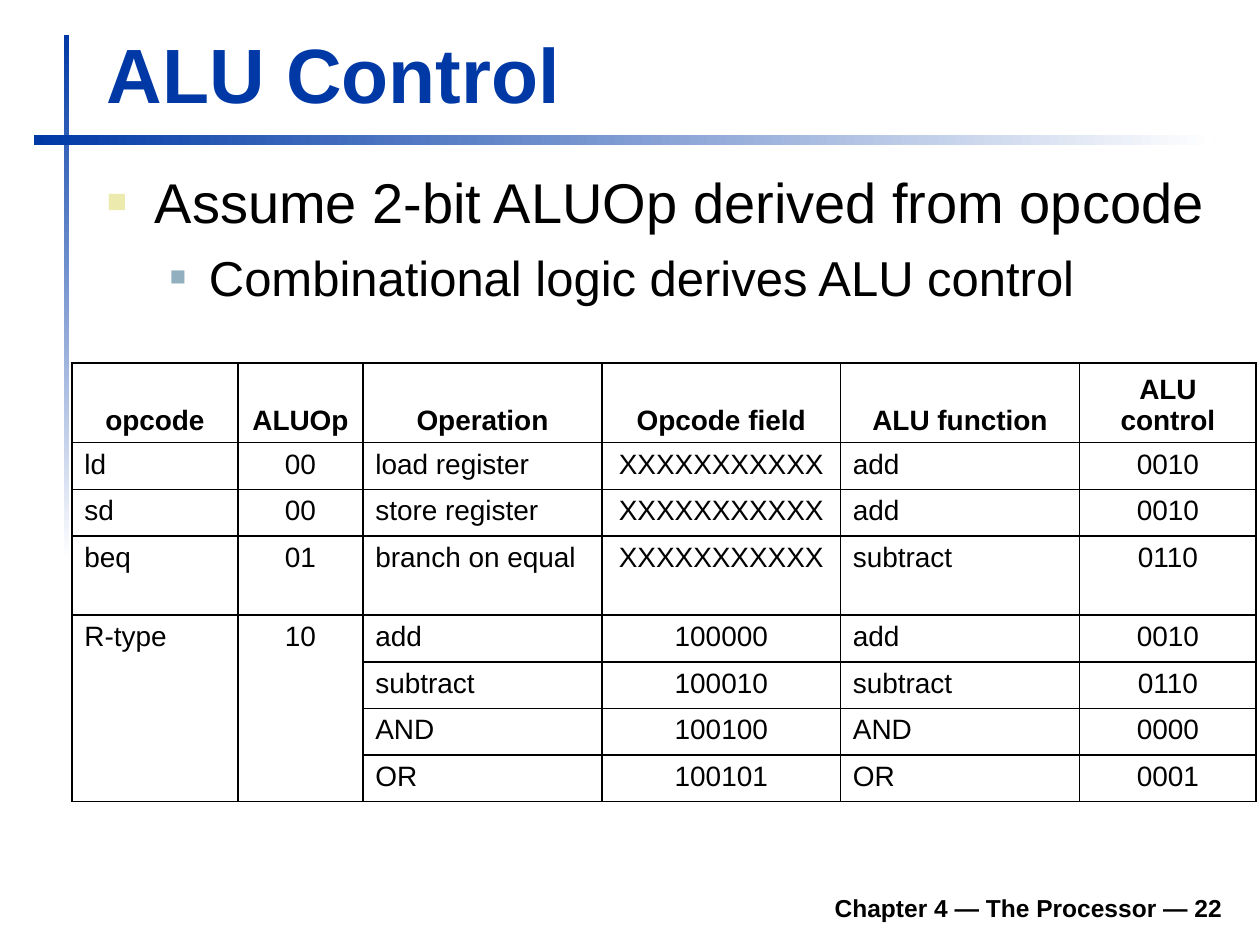
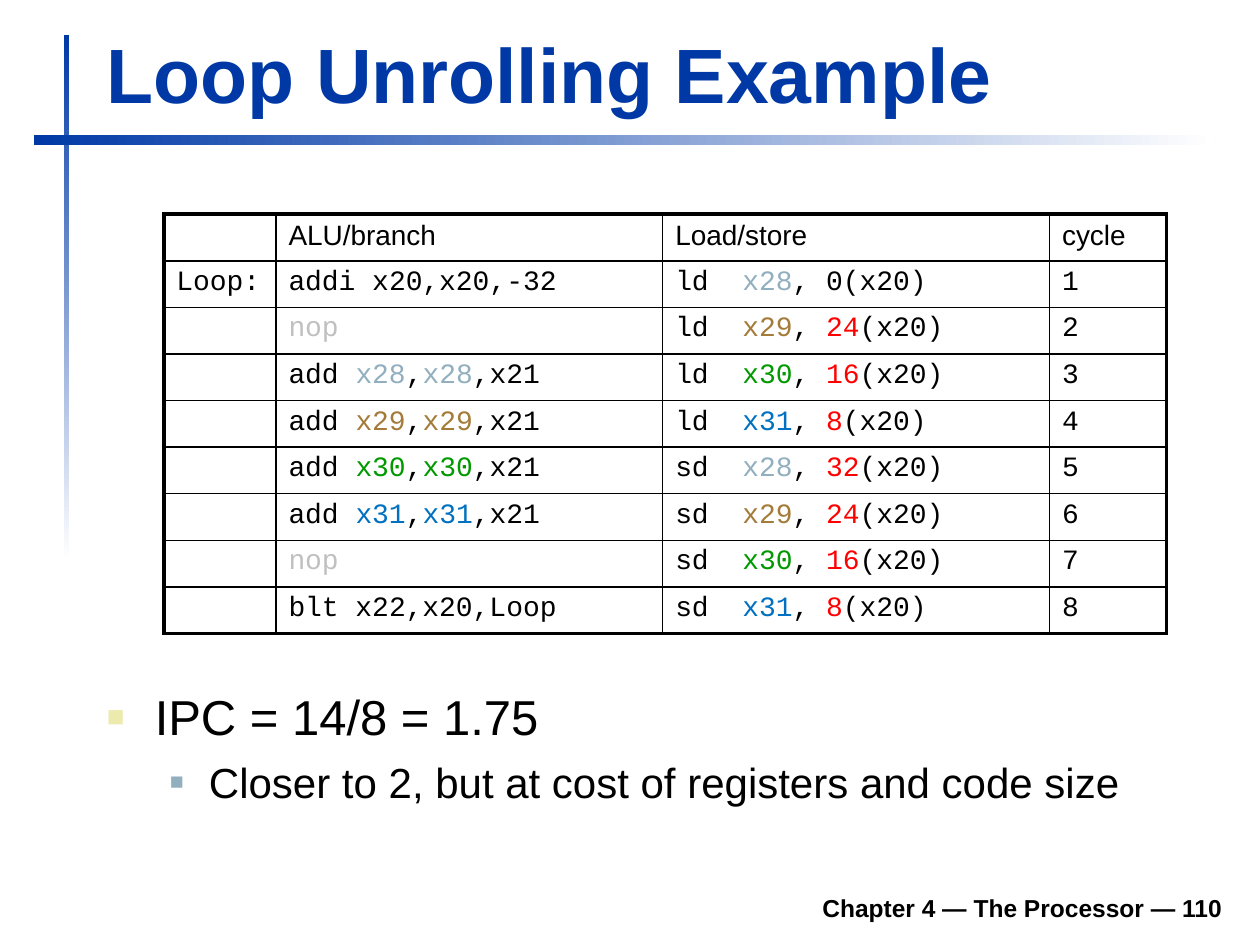
from dataclasses import dataclass

from lxml import etree
from pptx import Presentation
from pptx.dml.color import RGBColor
from pptx.enum.shapes import MSO_SHAPE
from pptx.enum.text import MSO_ANCHOR, PP_ALIGN
from pptx.oxml.ns import qn
from pptx.util import Inches, Pt

RECT = MSO_SHAPE.RECTANGLE
TOP, LOW = MSO_ANCHOR.TOP, MSO_ANCHOR.BOTTOM
LEFT, MID, RIGHT = PP_ALIGN.LEFT, PP_ALIGN.CENTER, PP_ALIGN.RIGHT


@dataclass(frozen=True)
class Theme:
    blue: str = "0039A6"
    white: str = "FFFFFF"
    black: str = "000000"
    gold: str = "ECEAAC"
    steel: str = "91AFBF"
    brown: str = "A47B38"
    green: str = "009900"
    azure: str = "0070C0"
    red: str = "FF0000"
    gray: str = "C0C0C0"
    sans: str = "Arial"
    mono: str = "Courier New"
    title: int = 44
    cell: int = 16
    foot: int = 14
    thin: float = 1
    rule: float = 1.5
    thick: float = 2.25


T = Theme()

# Bullet looks by level: left margin, indent, colour, size in percent
LEVELS = [(0.38, -0.38, T.gold, 60), (0.81, -0.31, T.steel, 55)]

# Colours of registers, idle slots and adjusted offsets in code
REGS = {"x28": T.steel, "x29": T.brown, "x30": T.green, "x31": T.azure}
TINTS = {**REGS, "nop": T.gray, **dict.fromkeys(["8", "16", "24", "32"], T.red)}


# Text
def add_run(para, text, size, color=T.black, bold=False, face=T.sans):
    run = para.add_run()
    run.text = text
    font = run.font
    font.name, font.size, font.bold = face, Pt(size), bold
    font.color.rgb = RGBColor.from_string(color)


def add_box(slide, left, top, width, height, anchor=TOP):
    frame = slide.shapes.add_textbox(
        Inches(left), Inches(top), Inches(width), Inches(height)).text_frame
    frame.word_wrap = True
    frame.vertical_anchor = anchor
    return frame


def add_bullet(para, level):
    margin, indent, color, percent = LEVELS[level]
    props = para._p.get_or_add_pPr()
    props.set("marL", str(Inches(margin)))
    props.set("indent", str(Inches(indent)))
    tint = etree.SubElement(props, qn("a:buClr"))
    etree.SubElement(tint, qn("a:srgbClr"), val=color)
    etree.SubElement(props, qn("a:buSzPct"), val=str(percent * 1000))
    etree.SubElement(props, qn("a:buFont"), typeface=T.sans)
    etree.SubElement(props, qn("a:buChar"), char="■")


def add_body(slide, top, height, lines):
    """Each line's level is its place in the list of (text, size)."""
    frame = add_box(slide, 0.75, top, 9.05, height)
    frame.margin_top = Inches(0.1)
    for level, (text, size) in enumerate(lines):
        para = frame.add_paragraph() if level else frame.paragraphs[0]
        para.level = level
        add_bullet(para, level)
        if level:
            para.space_before = Pt(size / 4)
        add_run(para, text, size)


# Shared frame of every slide
def add_band(slide, left, top, width, height, angle):
    band = slide.shapes.add_shape(
        RECT, Inches(left), Inches(top), Inches(width), Inches(height))
    band.shadow.inherit = False
    band.line.fill.background()
    band.fill.gradient()
    band.fill.gradient_angle = angle
    for stop, color in zip(band.fill.gradient_stops, (T.blue, T.white)):
        stop.color.rgb = RGBColor.from_string(color)


def add_slide(deck, title, number):
    slide = deck.slides.add_slide(deck.slide_layouts[6])
    add_band(slide, 0.51, 0.28, 0.04, 4.17, 270)
    add_band(slide, 0.27, 1.07, 9.37, 0.08, 0)
    foot = add_box(slide, 1.85, 6.98, 7.95, 0.39, LOW).paragraphs[0]
    foot.alignment = RIGHT
    add_run(foot, f"Chapter 4 — The Processor — {number}", T.foot, bold=True)
    head = add_box(slide, 0.75, 0.16, 9.03, 0.83, LOW).paragraphs[0]
    add_run(head, title, T.title, T.blue, True)
    return slide


# Tables
def set_edges(cell, widths):
    props = cell._tc.get_or_add_tcPr()
    for side, width in zip("LRTB", widths):
        line = etree.SubElement(props, qn(f"a:ln{side}"), w=str(Pt(width)))
        fill = etree.SubElement(line, qn("a:solidFill"))
        etree.SubElement(fill, qn("a:srgbClr"), val=T.black)
    cell.fill.background()


def add_table(slide, left, top, cols, rows, edges):
    """edges(row, col) gives the left, right, top and bottom line widths."""
    table = slide.shapes.add_table(
        len(rows), len(cols), Inches(left), Inches(top),
        Inches(sum(cols)), Inches(sum(rows))).table
    table.first_row = table.horz_banding = False
    for col, width in zip(table.columns, cols):
        col.width = Inches(width)
    for row, height in zip(table.rows, rows):
        row.height = Inches(height)
    for r in range(len(rows)):
        for c in range(len(cols)):
            set_edges(table.cell(r, c), edges(r, c))
    return table


def fill_cell(cell, parts, align=LEFT, anchor=TOP, bold=False, face=T.sans):
    """A tuple is code with tinted words, a string is plain text."""
    cell.vertical_anchor = anchor
    para = cell.text_frame.paragraphs[0]
    para.alignment = align
    if not parts:
        etree.SubElement(para._p, qn("a:endParaRPr"), sz=str(T.cell * 100))
    elif isinstance(parts, str):
        add_run(para, parts, T.cell, bold=bold, face=face)
    else:
        for part in parts:
            add_run(para, part, T.cell, TINTS.get(part, T.black), face=face)


# Slides
def add_control(deck):
    slide = add_slide(deck, "ALU Control", 22)
    add_body(slide, 1.23, 5.59, [
        ("Assume 2-bit ALUOp derived from opcode", 32),
        ("Combinational logic derives ALU control", 28)])
    any_field = "X" * 11
    data = [
        ("opcode", "ALUOp", "Operation", "Opcode field", "ALU function", "ALU control"),
        ("ld", "00", "load register", any_field, "add", "0010"),
        ("sd", "00", "store register", any_field, "add", "0010"),
        ("beq", "01", "branch on equal", any_field, "subtract", "0110"),
        ("R-type", "10", "add", "100000", "add", "0010"),
        ("", "", "subtract", "100010", "subtract", "0110"),
        ("", "", "AND", "100100", "AND", "0000"),
        ("", "", "OR", "100101", "OR", "0001")]
    heights = [0.63 if r in (0, 3) else 0.37 for r in range(len(data))]
    table = add_table(slide, 0.57, 2.88, [1.32, 0.99, 1.9, 1.89, 1.9, 1.4],
                      heights, lambda r, c: [T.thin] * 4)
    for r, row in enumerate(data):
        for c, text in enumerate(row):
            if r == 0:
                fill_cell(table.cell(r, c), text, MID, LOW, True)
            else:
                fill_cell(table.cell(r, c), text, MID if c % 2 else LEFT)
    for c in range(2):
        table.cell(4, c).merge(table.cell(7, c))


def add_loop(deck):
    slide = add_slide(deck, "Loop Unrolling Example", 110)
    add_body(slide, 5.35, 1.47, [
        ("IPC = 14/8 = 1.75", 28),
        ("Closer to 2, but at cost of registers and code size", 24)])

    # Two issue slots for each cycle
    sums = [("add ", reg, ",", reg, ",x21") for reg in REGS]
    alu = [("addi x20,x20,-32",), ("nop",), *sums, ("nop",), ("blt x22,x20,Loop",)]
    loads = zip(["ld  "] * 4 + ["sd  "] * 4, [*REGS] * 2,
                ["0", "24", "16", "8", "32", "24", "16", "8"])
    mem = [(op, reg, ", ", shift, "(x20)") for op, reg, shift in loads]
    data = [("", "ALU/branch", "Load/store", "cycle")]
    for n, (left, right) in enumerate(zip(alu, mem), 1):
        data.append(("Loop:" if n == 1 else "", left, right, str(n)))

    cols = [0.89, 3.07, 3.07, 0.93]
    last_row, last_col = len(data) - 1, len(cols) - 1

    def edges(r, c):
        over = {0: T.thick, 1: T.rule}.get(r, T.thin)
        under = {0: T.rule, last_row: T.thick}.get(r, T.thin)
        return (T.thin if c else T.thick,
                T.thick if c == last_col else T.thin, over, under)

    table = add_table(slide, 1.3, 1.7, cols, [0.37] * len(data), edges)
    for r, row in enumerate(data):
        for c, parts in enumerate(row):
            fill_cell(table.cell(r, c), parts, face=T.mono if r else T.sans)


def main():
    deck = Presentation()
    deck.slide_width, deck.slide_height = Inches(10), Inches(7.5)
    add_control(deck)
    add_loop(deck)
    deck.save("out.pptx")


if __name__ == "__main__":
    main()
